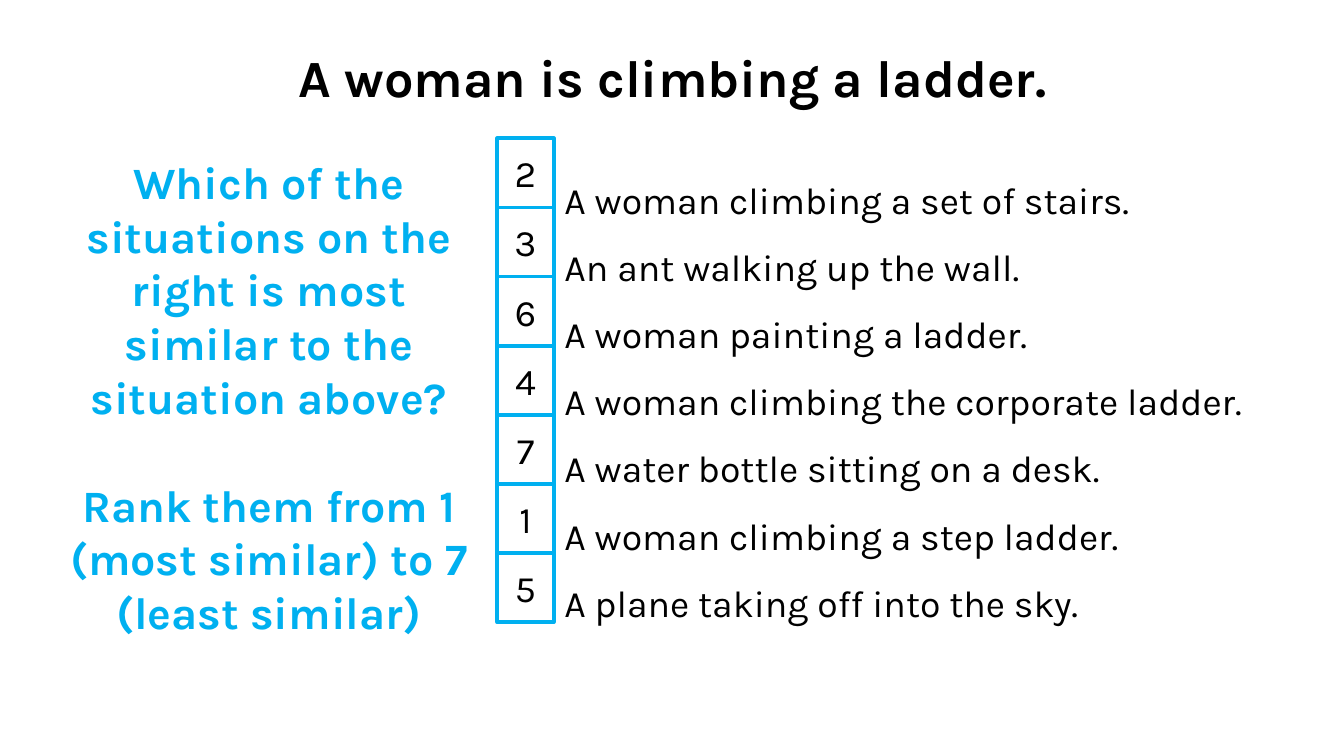
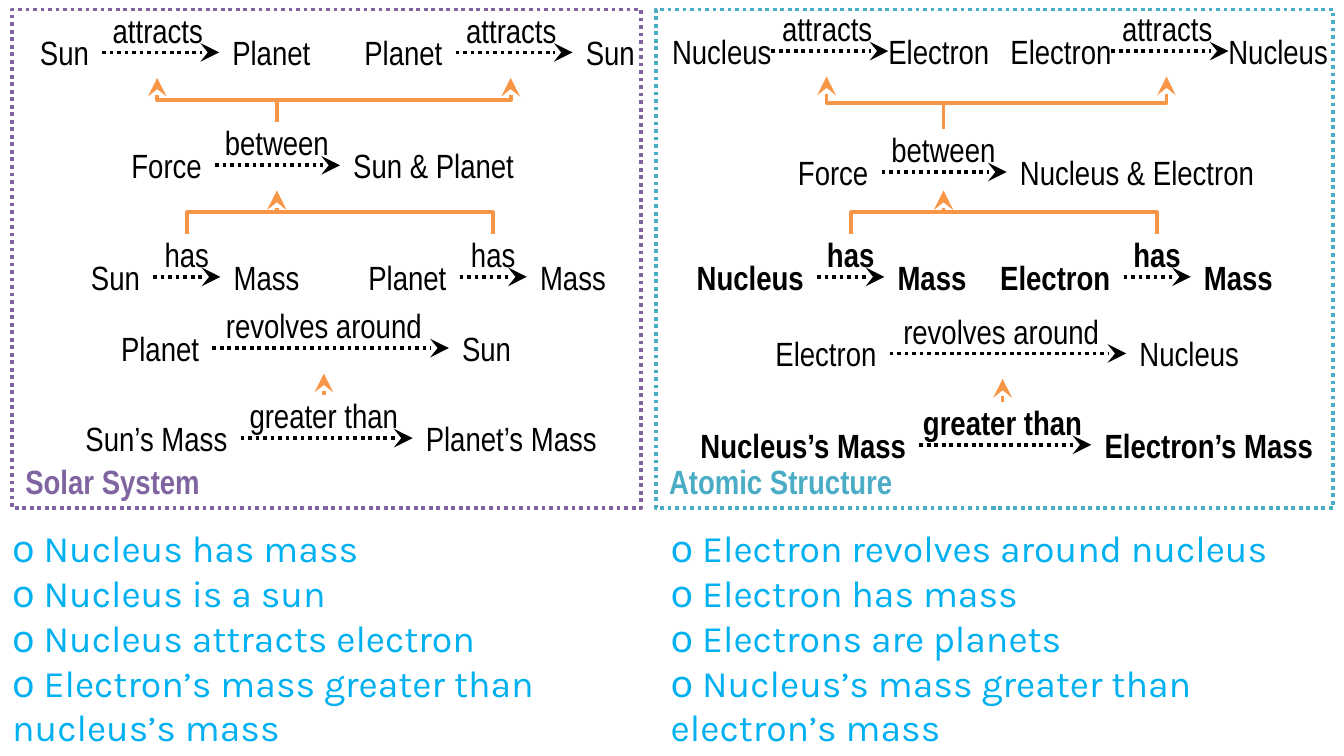
from dataclasses import dataclass

from lxml.etree import SubElement
from pptx import Presentation
from pptx.dml.color import RGBColor
from pptx.enum.dml import MSO_LINE
from pptx.enum.shapes import MSO_CONNECTOR, MSO_SHAPE
from pptx.enum.text import MSO_ANCHOR, PP_ALIGN
from pptx.oxml.ns import qn
from pptx.util import Pt

PX = 9144
BLACK, CYAN, ORANGE = "000000", "00B0F0", "F79646"
PURPLE, TEAL = "8064A2", "4BACC6"
BODY, NARROW = "Karla", "Arial Narrow"
LEFT, CENTER, RIGHT = PP_ALIGN.LEFT, PP_ALIGN.CENTER, PP_ALIGN.RIGHT

# verb: arrow length, label offset from the arrow start, label width
VERBS = {
    "has": (50, 0, 50),
    "between": (93, 0, 92),
    "attracts": (87, 0, 83),
    "greater than": (128, -1, 126),
    "revolves around": (176, -23, 212),
}
LABEL_RISE = 32


@dataclass
class Relation:
    """A subject, verb and object, placed by the start of the arrow."""
    x: int
    y: int
    subject: str
    subject_w: int
    verb: str
    target: str
    target_w: int
    bold: bool = False
    inset: int = 10
    foot: int = 19

    def center(self):
        """Return the horizontal middle of the verb label."""
        _, offset, width = VERBS[self.verb]
        return self.x + offset + width // 2


SOLAR = [
    Relation(67, 32, "Sun", 67, "attracts", "Planet", 101),
    Relation(330, 32, "Planet", 85, "attracts", "Sun", 61),
    Relation(151, 116, "Force", 82, "between", "Sun & Planet", 156),
    Relation(105, 199, "Sun", 76, "has", "Mass", 84),
    Relation(333, 199, "Planet", 105, "has", "Mass", 84),
    Relation(149, 252, "Planet", 91, "revolves around", "Sun", 63),
    Relation(170, 319, "Sun’s Mass", 145, "greater than", "Planet’s Mass", 164),
]
ATOM = [
    Relation(86, 31, "Nucleus", 99, "attracts", "Electron", 112, inset=0),
    Relation(339, 31, "Electron", 113, "attracts", "Nucleus", 86, inset=0),
    Relation(168, 121, "Force", 93, "between", "Nucleus & Electron", 215, foot=14),
    Relation(120, 199, "Nucleus", 120, "has", "Mass", 84, bold=True),
    Relation(348, 199, "Electron", 105, "has", "Mass", 84, bold=True),
    Relation(174, 256, "Electron", 112, "revolves around", "Nucleus", 111),
    Relation(196, 324, "Nucleus’s Mass", 192, "greater than", "Electron’s Mass", 180,
             bold=True),
]
LINKS = [(3, 2), (4, 2), (2, 0), (2, 1), (6, 5)]

QUESTION = [
    "Which of the situations on the right is most similar to the situation above?",
    "Rank them from 1 (most similar) to 7 (least similar)",
]
SITUATIONS = [
    ("2", "A woman climbing a set of stairs."),
    ("3", "An ant walking up the wall."),
    ("6", "A woman painting a ladder."),
    ("4", "A woman climbing the corporate ladder."),
    ("7", "A water bottle sitting on a desk."),
    ("1", "A woman climbing a step ladder."),
    ("5", "A plane taking off into the sky."),
]
NUCLEUS_CLAIMS = [
    "ο Nucleus has mass",
    "ο Nucleus is a sun",
    "ο Nucleus attracts electron",
    "ο Electron’s mass greater than nucleus’s mass",
]
ELECTRON_CLAIMS = [
    "ο Electron revolves around nucleus",
    "ο Electron has mass",
    "ο Electrons are planets",
    "ο Nucleus’s mass greater than electron’s mass",
]


def emu(*lengths):
    """Turn px lengths into EMU."""
    return [int(v * PX) for v in lengths]


def paint(color_format, color):
    """Apply a hex colour."""
    color_format.rgb = RGBColor.from_string(color)


def write(sp, lines, size, font=BODY, color=BLACK, bold=False, align=LEFT,
          inset=(10, 5), anchor=MSO_ANCHOR.TOP, spacing=None, gap=0):
    """Fill a shape with evenly formatted paragraphs."""
    tf = sp.text_frame
    tf.word_wrap = True
    tf.vertical_anchor = anchor
    tf.margin_left = tf.margin_right = inset[0] * PX
    tf.margin_top = tf.margin_bottom = inset[1] * PX
    tf.text = "\n".join(lines)
    for i, p in enumerate(tf.paragraphs):
        p.alignment = align
        p.font.name, p.font.size, p.font.bold = font, Pt(size), bold
        paint(p.font.color, color)
        p.space_before = Pt(gap if i else 0)
        if spacing:
            p.line_spacing = spacing


def add_text(s, box, lines, size, **style):
    """Add a text box."""
    write(s.shapes.add_textbox(*emu(*box)), lines, size, **style)


def add_frame(s, box, text, size, line, dotted=False, **style):
    """Add an unfilled rectangle with text."""
    sp = s.shapes.add_shape(MSO_SHAPE.RECTANGLE, *emu(*box))
    sp.shadow.inherit = False
    sp.fill.background()
    paint(sp.line.color, line)
    sp.line.width = Pt(2)
    if dotted:
        sp.line.dash_style = MSO_LINE.ROUND_DOT
    write(sp, [text], size, **style)


def add_arrow(s, kind, start, end, color, dotted=False):
    """Add a connector with a large stealth arrowhead at its end."""
    c = s.shapes.add_connector(kind, *emu(*start, *end))
    paint(c.line.color, color)
    c.line.width = Pt(2)
    if dotted:
        c.line.dash_style = MSO_LINE.ROUND_DOT
    spPr = c.element.spPr
    SubElement(spPr.find(qn("a:ln")), qn("a:tailEnd"), type="stealth", w="lg", len="lg")
    SubElement(spPr, qn("a:effectLst"))
    return c


def add_link(s, start, end):
    """Join two relations by a rising line, bent halfway up if needed."""
    (x1, y1), (x2, y2) = start, end
    if abs(x2 - x1) < 5:
        add_arrow(s, MSO_CONNECTOR.STRAIGHT, start, (x1, y2), ORANGE)
        return
    side = 1 if x2 > x1 else -1
    cx, cy = (x1 + x2) / 2, (y1 + y2) / 2
    dx, dy = side * (y1 - y2) / 2, abs(x2 - x1) / 2
    c = add_arrow(s, MSO_CONNECTOR.ELBOW, (cx + dx, cy + dy), (cx - dx, cy - dy), ORANGE)
    angle = 90 if side > 0 else 270
    c.element.spPr.find(qn("a:xfrm")).set("rot", str(angle * 60000))


def add_relation(s, left, top, rel):
    """Draw subject, arrow, verb and object relative to a panel corner."""
    length, offset, width = VERBS[rel.verb]
    x, y = left + rel.x, top + rel.y
    style = dict(font=NARROW, bold=rel.bold)
    side = dict(style, inset=(rel.inset, 5))
    add_text(s, (x - rel.subject_w, y - 20, rel.subject_w, 40), [rel.subject], 18,
             align=RIGHT, **side)
    add_text(s, (x + length, y - 20, rel.target_w, 40), [rel.target], 18, **side)
    add_arrow(s, MSO_CONNECTOR.STRAIGHT, (x, y), (x + length, y), BLACK, dotted=True)
    add_text(s, (x + offset, y - LABEL_RISE, width, LABEL_RISE + rel.foot), [rel.verb],
             18, align=CENTER, inset=(0, 0), **style)


def relation_panel(s, box, name, color, relations):
    """Draw a dotted panel of relations and the links between them."""
    left, top = box[:2]
    for rel in relations:
        add_relation(s, left, top, rel)
    for low, high in LINKS:
        a, b = relations[low], relations[high]
        add_link(s, (left + a.center(), top + a.y - LABEL_RISE),
                 (left + b.center(), top + b.y + b.foot))
    add_frame(s, box, name, 18, color, dotted=True, font=NARROW, color=color,
              bold=True, anchor=MSO_ANCHOR.BOTTOM)


def rank_list(s, box):
    """Draw the column of rank boxes and the situations beside it."""
    left, top, width, height = box
    pitch = height / len(SITUATIONS)
    add_text(s, (left + 50, top + 7, width - 50, 332), [t for _, t in SITUATIONS], 20,
             inset=(0, 5), spacing=1.5)
    for i, (rank, _) in enumerate(SITUATIONS):
        add_frame(s, (left, top + i * pitch, 42, pitch), rank, 20, CYAN,
                  align=CENTER, anchor=MSO_ANCHOR.MIDDLE)


def ranking_slide(prs):
    """Build the slide that ranks similar situations."""
    s = prs.slides.add_slide(prs.slide_layouts[5])
    title = s.shapes.title
    title.left, title.top, title.width, title.height = emu(51, 29, 899, 81)
    write(title, ["A woman is climbing a ladder."], 28, bold=True, align=CENTER)
    add_text(s, (51, 110, 298, 332), QUESTION, 24, color=CYAN, bold=True,
             align=CENTER, inset=(0, 5), gap=29)
    rank_list(s, (370, 103, 630, 360))


def analogy_slide(prs):
    """Build the slide that compares the two systems."""
    s = prs.slides.add_slide(prs.slide_layouts[6])
    relation_panel(s, (9, 7, 468, 371), "Solar System", PURPLE, SOLAR)
    relation_panel(s, (488, 7, 504, 371), "Atomic Structure", TEAL, ATOM)
    for left, claims in ((9, NUCLEUS_CLAIMS), (499, ELECTRON_CLAIMS)):
        add_text(s, (left, 386, 491, 176), claims, 20, color=CYAN, inset=(0, 5))


def main():
    """Build and save the 16:9 presentation."""
    prs = Presentation()
    prs.slide_width, prs.slide_height = emu(1000, 1000 * 9 / 16)
    ranking_slide(prs)
    analogy_slide(prs)
    prs.save("out.pptx")


if __name__ == "__main__":
    main()
